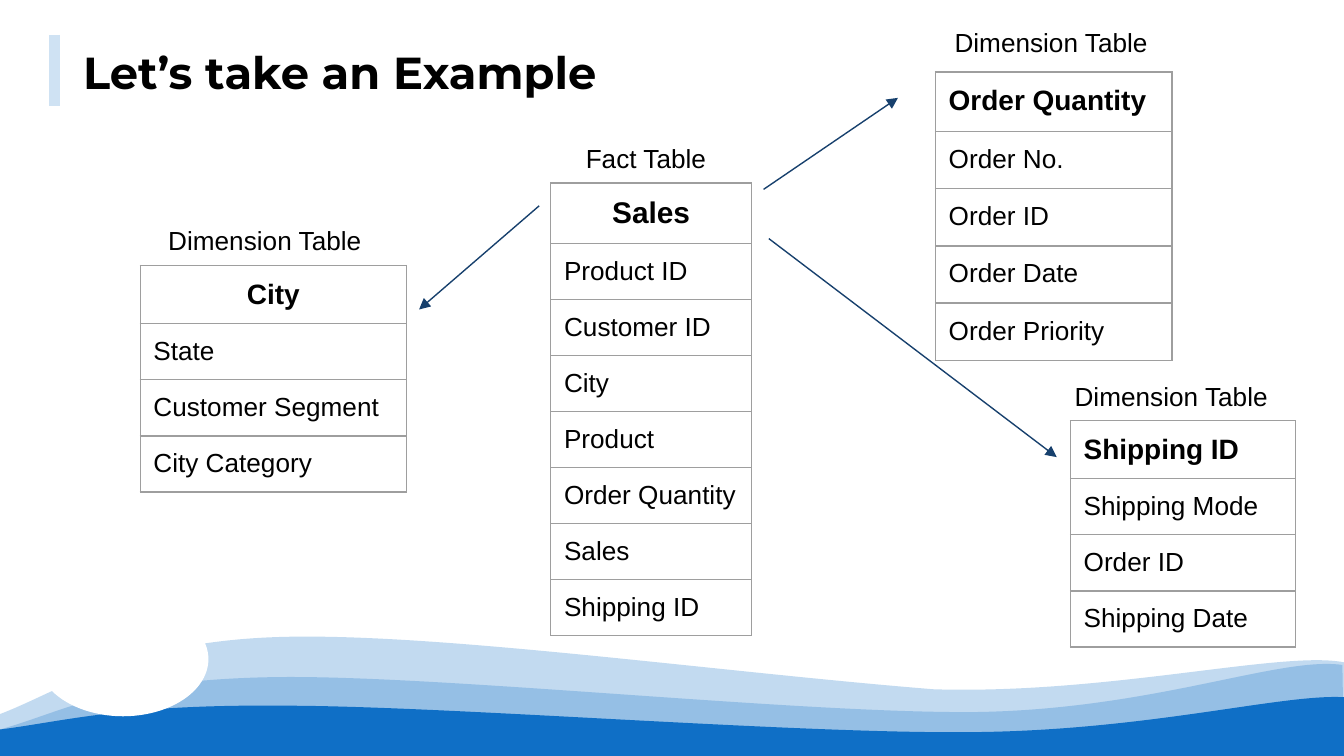
from pptx import Presentation
from pptx.dml.color import RGBColor
from pptx.enum.shapes import MSO_CONNECTOR, MSO_SHAPE
from pptx.enum.text import MSO_ANCHOR, PP_ALIGN
from pptx.oxml.ns import qn
from pptx.util import Cm, Pt
from lxml.etree import SubElement

BLACK = RGBColor(0x00, 0x00, 0x00)
WHITE = RGBColor(0xFF, 0xFF, 0xFF)
WAVE_BLUE = RGBColor(0x0F, 0x6F, 0xC6)
ACCENT_BLUE = RGBColor(0xCF, 0xE2, 0xF3)
ARROW_BLUE = RGBColor(0x17, 0x40, 0x6D)
GRID_GRAY = "9E9E9E"
INSET = Cm(0.25)
LEFT, CENTER = PP_ALIGN.LEFT, PP_ALIGN.CENTER

prs = Presentation()
prs.slide_width, prs.slide_height = Cm(25.4), Cm(14.29)
slide = prs.slides.add_slide(prs.slide_layouts[6])
shapes = slide.shapes


def add_label(text, left, top, width, height, size, font="Arial", align=LEFT,
              bold=False, anchor=MSO_ANCHOR.TOP):
    frame = shapes.add_textbox(Cm(left), Cm(top), Cm(width), Cm(height)).text_frame
    frame.word_wrap = True
    frame.vertical_anchor = anchor
    frame.margin_left = frame.margin_right = INSET
    frame.margin_top = frame.margin_bottom = INSET
    paragraph = frame.paragraphs[0]
    paragraph.text, paragraph.alignment = text, align
    paragraph.font.name, paragraph.font.size = font, Pt(size)
    paragraph.font.bold, paragraph.font.color.rgb = bold, BLACK


def add_line(start, end, color, width):
    line = shapes.add_connector(MSO_CONNECTOR.STRAIGHT, *map(Cm, start + end))
    line.line.color.rgb, line.line.width = color, Pt(width)
    SubElement(line._element.spPr, qn("a:effectLst"))
    return line


# Waves: start point, then Bezier segments (two controls and an end point), opacity in %
waves = [
    ((-0.03, 13.51), [((1.17, 13.06), (2.39, 12.12), (5.33, 12.04)),
                      ((8.28, 11.96), (13.54, 12.7), (17.65, 13.03)),
                      ((20.96, 13.13), (24.23, 12.29), (25.4, 12.52))], 25),
    ((0, 13.79), [((1.19, 13.46), (2.11, 12.85), (5.18, 12.8)),
                  ((8.26, 12.75), (15.09, 13.49), (18.44, 13.46)),
                  ((21.82, 13.41), (24.18, 12.4), (25.37, 12.57))], 25),
    ((0, 13.79), [((1.19, 13.64), (2.31, 13.31), (5.36, 13.34)),
                  ((8.4, 13.34), (14.99, 13.87), (18.31, 13.84)),
                  ((21.67, 13.82), (24.23, 13.11), (25.4, 13.18))], 100),
]
for start, curves, opacity in waves:
    outline = [curve[-1] for curve in curves] + [(25.4, 14.29), (0, 14.29)]
    builder = shapes.build_freeform(Cm(start[0]), Cm(start[1]))
    builder.add_line_segments([(Cm(x), Cm(y)) for x, y in outline])
    wave = builder.convert_to_shape()
    wave.shadow.inherit = False
    wave.line.fill.background()
    wave.fill.solid()
    wave.fill.fore_color.rgb = WAVE_BLUE
    if opacity < 100:
        color = wave._element.spPr.find(qn("a:solidFill"))[0]
        SubElement(color, qn("a:alpha"), val=str(opacity * 1000))
    # Bend the upper edge: its straight segments become Bezier curves
    edges = list(wave._element.iter(qn("a:lnTo")))
    for edge, curve in zip(edges, curves):
        bend = edge.makeelement(qn("a:cubicBezTo"))
        for x, y in curve:
            SubElement(bend, qn("a:pt"), x=str(Cm(x) - wave.left), y=str(Cm(y) - wave.top))
        edge.getparent().replace(edge, bend)

# White bubble over the waves
bubble = shapes.add_shape(MSO_SHAPE.OVAL, Cm(0.71), Cm(11.38), Cm(3.23), Cm(2.16))
bubble.shadow.inherit = False
bubble.line.fill.background()
bubble.fill.solid()
bubble.fill.fore_color.rgb = WHITE

# Title with accent bar
add_label("Let’s take an Example", 1.32, 0.55, 11.1, 1.6, 24, "Montserrat",
          bold=True, anchor=MSO_ANCHOR.MIDDLE)
add_line((1.03, 0.66), (1.03, 2.01), ACCENT_BLUE, 6)

# Tables: left, top, width, header height, row height, header size, header align, entries
tables = [
    (10.41, 3.46, 3.79, 1.13, 1.06, 16, CENTER,
     ["Sales", "Product ID", "Customer ID", "City", "Product", "Order Quantity",
      "Sales", "Shipping ID"]),
    (2.65, 5.02, 5.03, 1.1, 1.06, 15, CENTER,
     ["City", "State", "Customer Segment", "City Category"]),
    (17.68, 1.36, 4.47, 1.13, 1.08, 15, LEFT,
     ["Order Quantity", "Order No.", "Order ID", "Order Date", "Order Priority"]),
    (20.23, 7.95, 4.26, 1.1, 1.06, 15, LEFT,
     ["Shipping ID", "Shipping Mode", "Order ID", "Shipping Date"]),
]
for left, top, width, header_height, row_height, header_size, header_align, entries in tables:
    total = header_height + row_height * (len(entries) - 1)
    table = shapes.add_table(len(entries), 1, Cm(left), Cm(top), Cm(width), Cm(total)).table
    table.horz_banding = False
    for index, entry in enumerate(entries):
        is_header = index == 0
        table.rows[index].height = Cm(header_height if is_header else row_height)
        cell = table.cell(index, 0)
        cell.margin_left = cell.margin_right = cell.margin_top = INSET
        cell.margin_bottom = Cm(0.21)
        for side in ("lnL", "lnR", "lnT", "lnB"):
            border = SubElement(cell._tc.get_or_add_tcPr(), qn("a:" + side), w=str(Pt(0.75)))
            SubElement(SubElement(border, qn("a:solidFill")), qn("a:srgbClr"), val=GRID_GRAY)
        cell.fill.background()
        paragraph = cell.text_frame.paragraphs[0]
        paragraph.text = entry
        paragraph.alignment = header_align if is_header else LEFT
        paragraph.font.name, paragraph.font.color.rgb = "Arial", BLACK
        paragraph.font.size = Pt(header_size if is_header else 14)
        paragraph.font.bold = is_header

# Table captions
add_label("Fact Table", 10.32, 2.44, 3.78, 1.02, 14, align=CENTER)
for left, top, width, height in [(2.93, 4, 4.47, 1.02),
                                 (17.79, 0.25, 4.27, 1.02),
                                 (20.06, 6.95, 4.27, 0.89)]:
    add_label("Dimension Table", left, top, width, height, 14)

# Arrows from the fact table to the dimension tables
for start, end in [((10.19, 3.89), (7.92, 5.85)),
                   ((14.43, 3.58), (16.97, 1.85)),
                   ((14.53, 4.51), (19.97, 8.64))]:
    arrow = add_line(start, end, ARROW_BLUE, 0.75)
    SubElement(arrow.line._get_or_add_ln(), qn("a:tailEnd"), type="triangle", w="med", len="med")

prs.save("out.pptx")
